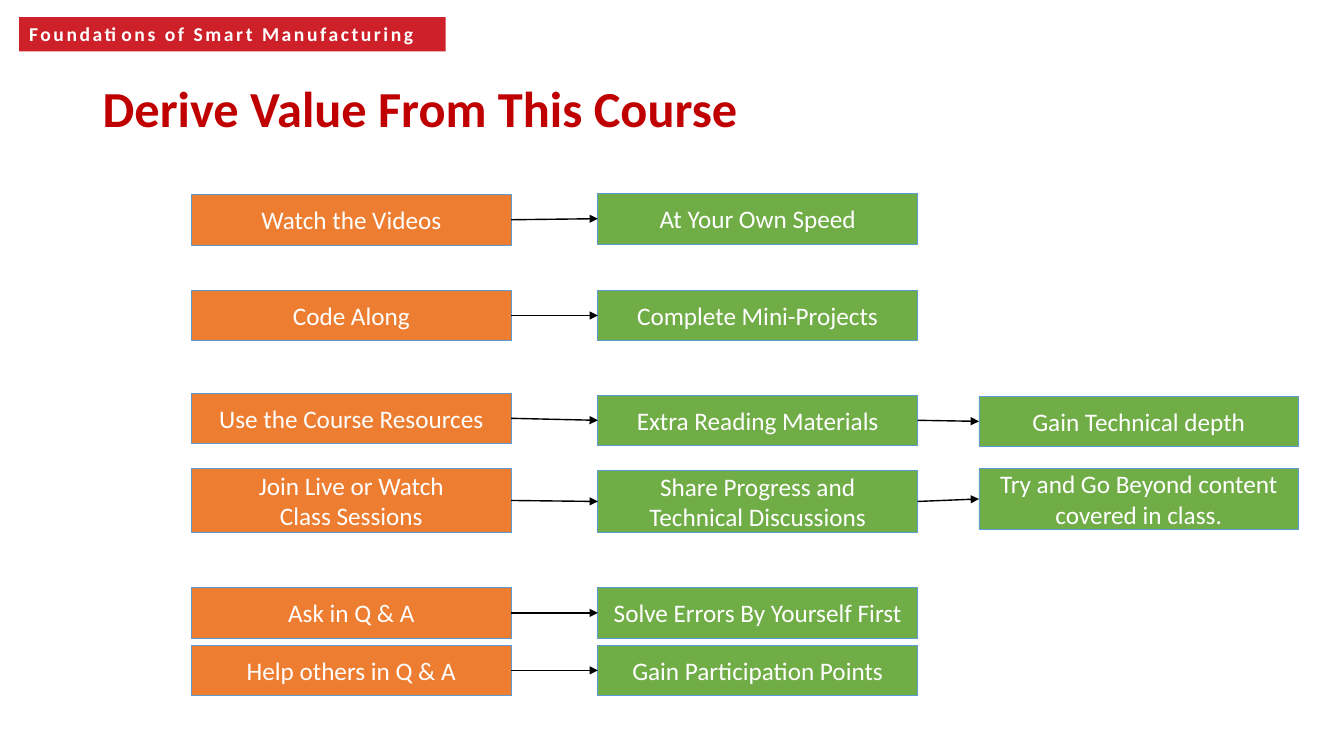
from pptx import Presentation
from pptx.dml.color import RGBColor
from pptx.enum.shapes import MSO_CONNECTOR, MSO_SHAPE
from pptx.enum.text import MSO_ANCHOR, PP_ALIGN
from pptx.oxml.ns import qn
from pptx.util import Inches, Pt
from lxml import etree

ORANGE, GREEN, BLUE = "ED7D31", "70AD47", "5B9BD5"
WHITE, BLACK, BANNER_RED, TITLE_RED = "FFFFFF", "000000", "CE2029", "C00000"

COLUMN_LEFTS = (1.9, 5.93, 9.71)
STEP_WIDTH = 3.17

# Each row holds its steps from left to right: (text, top, height)
ROWS = [
    [("Watch the Videos", 1.93, 0.5), ("At Your Own Speed", 1.92, 0.5)],
    [("Code Along", 2.88, 0.5), ("Complete Mini-Projects", 2.88, 0.5)],
    [("Use the Course Resources", 3.9, 0.5),
     ("Extra Reading Materials", 3.92, 0.5),
     ("Gain Technical depth", 3.93, 0.5)],
    [("Join Live or Watch\nClass Sessions", 4.65, 0.63),
     ("Share Progress and\nTechnical Discussions", 4.67, 0.61),
     ("Try and Go Beyond content covered in class.", 4.65, 0.6)],
    [("Ask in Q & A", 5.83, 0.5), ("Solve Errors By Yourself First", 5.83, 0.5)],
    [("Help others in Q & A", 6.4, 0.5), ("Gain Participation Points", 6.4, 0.5)],
]


def color(hex_value):
    return RGBColor.from_string(hex_value)


def write(shape, text, size, hex_value, bold=False,
          align=PP_ALIGN.LEFT, anchor=MSO_ANCHOR.MIDDLE):
    frame = shape.text_frame
    frame.word_wrap = True
    frame.vertical_anchor = anchor
    frame.text = text
    for paragraph in frame.paragraphs:
        paragraph.alignment = align
        for run in paragraph.runs:
            run.font.name = "Calibri"
            run.font.size = Pt(size)
            run.font.bold = bold
            run.font.color.rgb = color(hex_value)


def add_box(slide, left, top, width, height, fill, line=None):
    box = slide.shapes.add_shape(MSO_SHAPE.RECTANGLE, Inches(left), Inches(top),
                                 Inches(width), Inches(height))
    box.shadow.inherit = False
    box.fill.solid()
    box.fill.fore_color.rgb = color(fill)
    if line:
        box.line.color.rgb = color(line)
        box.line.width = Pt(0.5)
    else:
        box.line.fill.background()
    return box


def add_banner(slide, text):
    banner = add_box(slide, 0.19, 0.17, 4.23, 0.34, BANNER_RED)
    write(banner, text, 14, WHITE, bold=True, anchor=MSO_ANCHOR.TOP)
    # Letter spacing in hundredths of a point
    for run in banner.text_frame.paragraphs[0].runs:
        run.font._element.set("spc", "180")


def add_title(slide, text):
    title = slide.shapes.add_textbox(Inches(0.92), Inches(0.71),
                                     Inches(11.5), Inches(0.79))
    write(title, text, 36, TITLE_RED, bold=True)
    title.text_frame.paragraphs[0].line_spacing = 0.9


def add_step(slide, column, text, top, height):
    step = add_box(slide, COLUMN_LEFTS[column], top, STEP_WIDTH, height,
                   GREEN if column else ORANGE, BLUE)
    write(step, text, 18, WHITE, align=PP_ALIGN.CENTER)
    return step


def add_arrow(slide, source, target):
    arrow = slide.shapes.add_connector(MSO_CONNECTOR.STRAIGHT, 0, 0, 0, 0)
    # Rectangle connection sites: 3 is the right side, 1 is the left side
    arrow.begin_connect(source, 3)
    arrow.end_connect(target, 1)
    arrow.line.color.rgb = color(BLACK)
    arrow.line.width = Pt(1)
    etree.SubElement(arrow.line._get_or_add_ln(), qn("a:tailEnd"), type="triangle")
    etree.SubElement(arrow._element.spPr, qn("a:effectLst"))


def main():
    presentation = Presentation()
    presentation.slide_width = Inches(13.33)
    presentation.slide_height = Inches(7.5)
    slide = presentation.slides.add_slide(presentation.slide_layouts[6])

    # Heading
    add_banner(slide, "Foundations of Smart Manufacturing")
    add_title(slide, "Derive Value From This Course")

    # Rows of steps, each linked to the next
    for row in ROWS:
        steps = [add_step(slide, column, *step) for column, step in enumerate(row)]
        for source, target in zip(steps, steps[1:]):
            add_arrow(slide, source, target)

    presentation.save("out.pptx")


if __name__ == "__main__":
    main()
